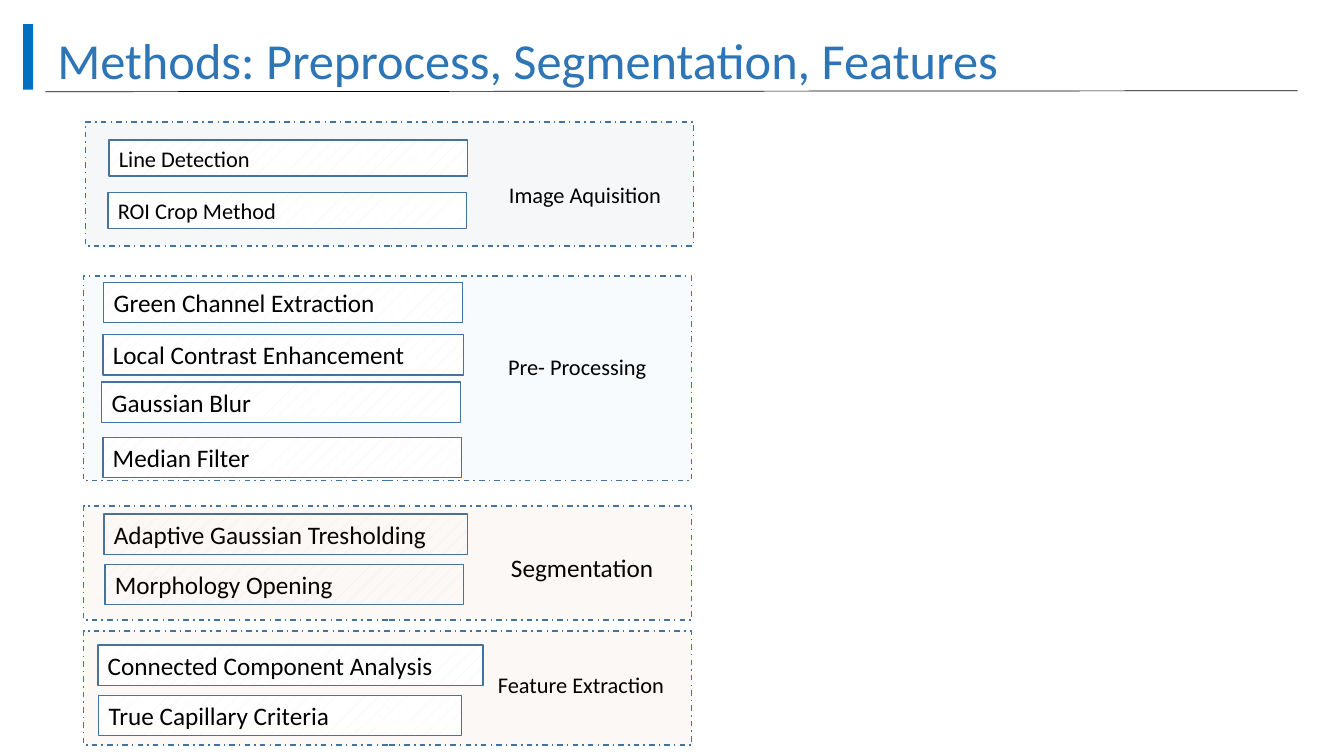
import lxml.etree
import pptx
import pptx.dml.color
import pptx.enum.dml
import pptx.enum.shapes
import pptx.enum.text
import pptx.oxml.ns
import pptx.util

Inches = pptx.util.Inches
Pt = pptx.util.Pt
AutoSize = pptx.enum.text.MSO_AUTO_SIZE
Anchor = pptx.enum.text.MSO_ANCHOR


class Theme:
    font = "Calibri"
    title_size, large, small = 36, 18, 16
    title, accent, outline, text = "2E75B6", "0070C0", "43739E", "000000"
    hatch, paper = "F2F2F2", "FFFFFF"
    navy, sky, rust = "1F497D", "5B9BD5", "C55A11"
    panel_opacity = 4


def rgb(code):
    return pptx.dml.color.RGBColor.from_string(code)


def write_text(shape, text, size=Theme.large, color=Theme.text,
               anchor=Anchor.TOP, auto_size=AutoSize.SHAPE_TO_FIT_TEXT, spacing=None):
    frame = shape.text_frame
    frame.word_wrap = True
    frame.auto_size = auto_size
    frame.vertical_anchor = anchor
    para = frame.paragraphs[0]
    para.alignment = pptx.enum.text.PP_ALIGN.LEFT
    para.line_spacing = spacing
    span = para.add_run()
    span.text = text
    span.font.name = Theme.font
    span.font.size = Pt(size)
    span.font.color.rgb = rgb(color)


class SlideBuilder:
    def __init__(self, slide, theme):
        self.slide = slide
        self.theme = theme

    def rectangle(self, left, top, width, height):
        shape = self.slide.shapes.add_shape(
            pptx.enum.shapes.MSO_SHAPE.RECTANGLE,
            Inches(left), Inches(top), Inches(width), Inches(height))
        shape.shadow.inherit = False
        return shape

    def outline(self, shape):
        shape.line.color.rgb = rgb(self.theme.outline)
        shape.line.width = Pt(1)

    def bar(self, left, top, width, height):
        shape = self.rectangle(left, top, width, height)
        shape.fill.solid()
        shape.fill.fore_color.rgb = rgb(self.theme.accent)
        shape.line.fill.background()

    def rule(self, start, end):
        line = self.slide.shapes.add_connector(
            pptx.enum.shapes.MSO_CONNECTOR.STRAIGHT, *map(Inches, start + end))
        line.line.color.rgb = rgb(self.theme.text)
        line.line.width = Pt(0.5)
        lxml.etree.SubElement(line.element.spPr, pptx.oxml.ns.qn("a:effectLst"))

    def panel(self, left, top, height, color):
        """Draw a faintly tinted stage frame with a dash-dot outline."""
        shape = self.rectangle(left, top, 6.03, height)
        shape.fill.solid()
        shape.fill.fore_color.rgb = rgb(color)
        tint = shape.element.spPr.find(".//" + pptx.oxml.ns.qn("a:srgbClr"))
        alpha = lxml.etree.SubElement(tint, pptx.oxml.ns.qn("a:alpha"))
        alpha.set("val", str(self.theme.panel_opacity * 1000))
        self.outline(shape)
        shape.line.dash_style = pptx.enum.dml.MSO_LINE.DASH_DOT

    def step(self, text, left, top, width, size):
        """Draw one hatched method box."""
        box = self.rectangle(left, top, width, size / 45)
        box.fill.patterned()
        box.fill.pattern = pptx.enum.dml.MSO_PATTERN.PERCENT_5
        box.fill.fore_color.rgb = rgb(self.theme.hatch)
        box.fill.back_color.rgb = rgb(self.theme.paper)
        self.outline(box)
        write_text(box, text, size=size)

    def label(self, text, left, top, width, height, **text_format):
        box = self.slide.shapes.add_textbox(
            Inches(left), Inches(top), Inches(width), Inches(height))
        write_text(box, text, **text_format)


# Panel: left, top, height, colour. Label: text, left, top, width, height, size.
# Steps: text, left, top, width.
STAGES = [
    dict(panel=(0.85, 1.21, 1.23, Theme.navy), step_size=Theme.small,
         label=("Image Aquisition", 4.95, 1.75, 2.23, 0.37, Theme.small),
         steps=[("Line Detection", 1.08, 1.39, 3.56),
                ("ROI Crop Method", 1.07, 1.91, 3.56)]),
    dict(panel=(0.83, 2.74, 2.03, Theme.sky), step_size=Theme.large,
         label=("Pre- Processing", 4.94, 3.45, 1.92, 0.37, Theme.small),
         steps=[("Green Channel Extraction", 1.03, 2.8, 3.56),
                ("Local Contrast Enhancement", 1.02, 3.32, 3.58),
                ("Gaussian Blur", 1.01, 3.79, 3.56),
                ("Median Filter", 1.02, 4.34, 3.56)]),
    dict(panel=(0.83, 5.02, 1.13, Theme.rust), step_size=Theme.large, panel_in_front=True,
         label=("Segmentation", 4.97, 5.43, 1.93, 0.4, Theme.large),
         steps=[("Adaptive Gaussian Tresholding", 1.03, 5.1, 3.61),
                ("Morphology Opening", 1.04, 5.6, 3.56)]),
    dict(panel=(0.83, 6.26, 1.13, Theme.rust), step_size=Theme.large,
         label=("Feature Extraction", 4.84, 6.61, 2.38, 0.37, Theme.small),
         steps=[("Connected Component Analysis", 0.97, 6.4, 3.82),
                ("True Capillary Criteria", 0.98, 6.9, 3.6)]),
]


def draw_stage(builder, panel, step_size, label, steps, panel_in_front=False):
    if not panel_in_front:
        builder.panel(*panel)
    for step in steps:
        builder.step(*step, step_size)
    *place, size = label
    builder.label(*place, size=size)
    if panel_in_front:
        builder.panel(*panel)


def main():
    deck = pptx.Presentation()
    deck.slide_width, deck.slide_height = Inches(13.33), Inches(7.5)
    page = deck.slides.add_slide(deck.slide_layouts[6])
    builder = SlideBuilder(page, Theme)
    builder.bar(0.23, 0.24, 0.1, 0.65)
    builder.rule((0.45, 0.91), (12.87, 0.9))
    builder.label("Methods: Preprocess, Segmentation, Features", 0.47, 0.36, 11.5, 0.53,
                  size=Theme.title_size, color=Theme.title, anchor=Anchor.MIDDLE,
                  auto_size=AutoSize.NONE, spacing=0.9)
    for stage in STAGES:
        draw_stage(builder, **stage)
    deck.save("out.pptx")


if __name__ == "__main__":
    main()
